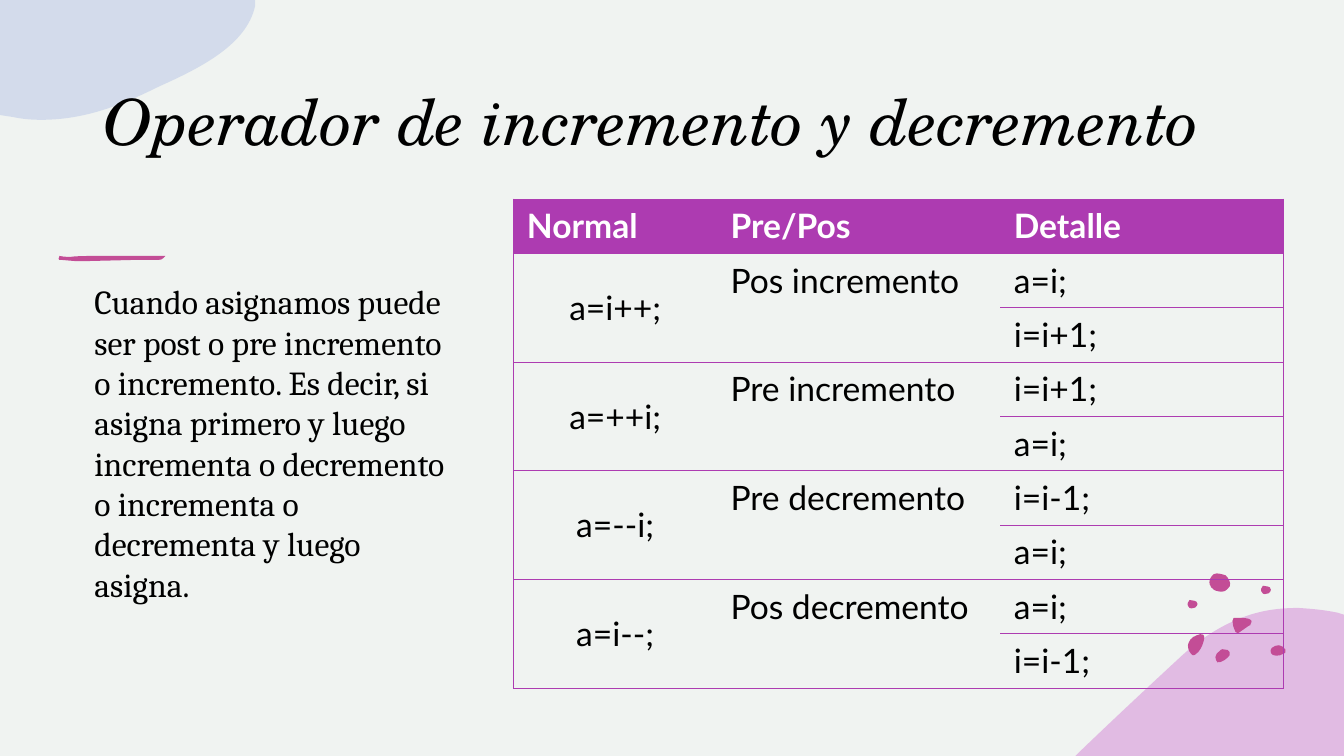
from lxml import etree
from pptx import Presentation
from pptx.dml.color import RGBColor
from pptx.enum.text import MSO_ANCHOR, PP_ALIGN
from pptx.oxml.ns import qn
from pptx.util import Cm, Pt

MIDDLE, BOTTOM, TOP = MSO_ANCHOR.MIDDLE, MSO_ANCHOR.BOTTOM, MSO_ANCHOR.TOP
LEFT, CENTER = PP_ALIGN.LEFT, PP_ALIGN.CENTER

PAPER = RGBColor(0xF0, 0xF3, 0xF1)
BLACK = RGBColor(0, 0, 0)
WHITE = RGBColor(255, 255, 255)
PURPLE = RGBColor(0xAD, 0x3B, 0xB1)
LILAC = RGBColor(0xD3, 0x84, 0xD6)
BLUE = RGBColor(0xB8, 0xC5, 0xE7)
PINK = RGBColor(0xC3, 0x4D, 0x96)

# Content
TITLE = "Operador de incremento y decremento"
EXPLANATION = (
    "Cuando asignamos puede ser post o pre incremento o incremento. "
    "Es decir, si asigna primero y luego incrementa o decremento "
    "o incrementa o decrementa y luego asigna."
)
HEADINGS = ("Normal", "Pre/Pos", "Detalle")
OPERATORS = [
    ("a=i++;", "Pos incremento", ("a=i;", "i=i+1;")),
    ("a=++i;", "Pre incremento", ("i=i+1;", "a=i;")),
    ("a=--i;", "Pre decremento", ("i=i-1;", "a=i;")),
    ("a=i--;", "Pos decremento", ("a=i;", "i=i-1;")),
]

# Outlines in cm: each step is (x, y) for a line or six numbers for a curve
BLUE_BLOB = [
    (0, 0), (6.43, 0), (6.43, 0.15), (6.22, 1.12, 5.08, 1.7, 4.01, 2.18),
    (3.12, 2.62, 2.18, 3.02, 1.04, 3.02), (0.79, 3.02, 0.56, 3, 0.33, 2.95), (0, 2.9),
]
LILAC_BLOB = [
    (32.72, 15.32), (33.05, 15.34, 33.38, 15.37, 33.71, 15.44), (33.87, 15.49),
    (33.87, 19.05), (27.1, 19.05), (27.13, 19.02),
    (27.99, 18.19, 28.87, 17.37, 29.69, 16.61),
    (30.25, 16.08, 30.84, 15.72, 31.42, 15.52), (31.85, 15.37, 32.28, 15.32, 32.72, 15.32),
]
BRUSH_STROKE = [
    (1.5, 6.45), (1.63, 6.48, 1.78, 6.48, 1.9, 6.46), (2.24, 6.45), (4.17, 6.45),
    (4.09, 6.48, 4.14, 6.55, 3.99, 6.55), (3.4, 6.55), (2.18, 6.58), (1.9, 6.58),
    (1.55, 6.55), (1.45, 6.58, 1.47, 6.48, 1.5, 6.45),
]
SMALL_DOT = [
    (31.78, 14.88), (31.78, 14.88, 31.78, 14.78, 31.83, 14.76),
    (31.88, 14.76, 31.9, 14.76, 31.95, 14.78), (31.98, 14.78, 32.03, 14.81, 32.03, 14.86),
    (32.03, 14.88, 32, 14.94, 31.98, 14.94), (31.98, 14.94, 31.98, 14.96, 31.93, 14.96),
    (31.9, 14.96, 31.85, 14.99, 31.83, 14.96), (31.8, 14.91, 31.78, 14.91, 31.78, 14.88),
]
SMALL_DOT_SHIFT = (-1.85, 0.36)
DOTS = [
    [(30.81, 16.36), (30.86, 16.36, 30.89, 16.36, 30.94, 16.38),
     (30.99, 16.41, 31.01, 16.46, 30.99, 16.51), (30.94, 16.59, 30.78, 16.71, 30.68, 16.69),
     (30.66, 16.66, 30.63, 16.61, 30.63, 16.56), (30.63, 16.51, 30.68, 16.43, 30.73, 16.41),
     (30.76, 16.38, 30.78, 16.36, 30.81, 16.36)],
    [(30.25, 15.98), (30.3, 15.98, 30.35, 15.98, 30.35, 16.08),
     (30.33, 16.21, 30.28, 16.33, 30.2, 16.43), (30.15, 16.48, 30.07, 16.56, 30.02, 16.48),
     (29.95, 16.41, 29.92, 16.28, 29.95, 16.21), (29.97, 16.13, 30.02, 16.1, 30.07, 16.05),
     (30.1, 16.05, 30.18, 15.98, 30.25, 15.98)],
    [(32.23, 16.26), (32.28, 16.26, 32.36, 16.31, 32.39, 16.36),
     (32.41, 16.41, 32.41, 16.46, 32.33, 16.48), (32.26, 16.54, 32.05, 16.54, 32.03, 16.46),
     (32, 16.41, 32.03, 16.36, 32.05, 16.33), (32.11, 16.28, 32.16, 16.26, 32.23, 16.26)],
    [(30.51, 14.76), (30.48, 14.76, 30.45, 14.61, 30.53, 14.53),
     (30.58, 14.48, 30.58, 14.45, 30.66, 14.45), (30.73, 14.45, 30.84, 14.48, 30.89, 14.5),
     (30.94, 14.55, 31.04, 14.68, 30.99, 14.78), (30.91, 14.86, 30.89, 14.91, 30.78, 14.91),
     (30.71, 14.91, 30.58, 14.88, 30.56, 14.83), (30.51, 14.81, 30.51, 14.78, 30.51, 14.76)],
    [(31.19, 15.57), (31.34, 15.57, 31.62, 15.57, 31.52, 15.72),
     (31.52, 15.75, 31.5, 15.77, 31.47, 15.77), (31.39, 15.82, 31.32, 15.88, 31.24, 15.93),
     (31.22, 15.95, 31.19, 15.98, 31.14, 15.93), (31.09, 15.82, 31.06, 15.75, 31.06, 15.65),
     (31.06, 15.62, 31.06, 15.6, 31.09, 15.57)],
    SMALL_DOT,
]

# Layout
COLUMN_WIDTHS = (5.13, 7.14, 7.14)
ROW_HEIGHT = 1.37
INSET_X, INSET_Y = Cm(0.34), Cm(0.17)
NO_STYLE = "{2D5ABB26-0587-4C30-8999-92F81FD0307C}"


def add_outline(slide, steps, color, alpha=None, shift=(0, 0)):
    dx, dy = shift
    corners = [(Cm(step[-2] + dx), Cm(step[-1] + dy)) for step in steps]
    builder = slide.shapes.build_freeform(*corners[0])
    builder.add_line_segments(corners[1:], close=True)
    blob = builder.convert_to_shape()

    # Turn the segments that have control points into curves
    segments = list(blob._element.iter(qn("a:lnTo")))
    for segment, step in zip(segments, steps[1:]):
        if len(step) == 6:
            segment.tag = qn("a:cubicBezTo")
            for i in (0, 1):
                control = etree.Element(qn("a:pt"))
                control.set("x", str(Cm(step[2 * i] + dx) - blob.left))
                control.set("y", str(Cm(step[2 * i + 1] + dy) - blob.top))
                segment.insert(i, control)

    blob.shadow.inherit = False
    blob.line.fill.background()
    blob.fill.solid()
    blob.fill.fore_color.rgb = color
    if alpha:
        rgb = blob.fill._xPr.find(".//" + qn("a:srgbClr"))
        etree.SubElement(rgb, qn("a:alpha")).set("val", str(alpha * 1000))


def format_text(frame, font_name, size, color, bold=False, italic=False):
    frame.word_wrap = True
    for run in frame.paragraphs[0].runs:
        font = run.font
        font.name, font.size, font.bold, font.italic = font_name, Pt(size), bold, italic
        font.color.rgb = color


def add_text(slide, text, box, anchor, *style, **options):
    frame = slide.shapes.add_textbox(*map(Cm, box)).text_frame
    frame.text = text
    frame.vertical_anchor = anchor
    frame.margin_left = frame.margin_right = INSET_X
    frame.margin_top = frame.margin_bottom = INSET_Y
    format_text(frame, *style, **options)


def set_borders(cell, sides):
    properties = cell._tc.get_or_add_tcPr()
    for position, side in enumerate("LRTB"):
        line = etree.Element(qn("a:ln" + side), w=str(Pt(0.5)))
        if side in sides:
            fill = etree.SubElement(line, qn("a:solidFill"))
            etree.SubElement(fill, qn("a:srgbClr")).set("val", str(PURPLE))
        else:
            etree.SubElement(line, qn("a:noFill"))
        properties.insert(position, line)


def fill_cell(cell, text, header=False, align=LEFT, anchor=TOP):
    cell.text = text
    cell.vertical_anchor = anchor
    cell.margin_left = cell.margin_right = INSET_X
    cell.margin_top = cell.margin_bottom = INSET_Y
    cell.text_frame.paragraphs[0].alignment = align
    format_text(cell.text_frame, "Lato", 24, WHITE if header else BLACK, bold=header)


def add_operator_table(slide):
    row_count = 1 + 2 * len(OPERATORS)
    frame = slide.shapes.add_table(
        row_count, len(HEADINGS), Cm(12.94), Cm(5.01),
        Cm(sum(COLUMN_WIDTHS)), Cm(ROW_HEIGHT * row_count))
    table = frame.table
    table.first_row = table.horz_banding = False
    table._tbl.tblPr.find(qn("a:tableStyleId")).text = NO_STYLE
    for column, width in zip(table.columns, COLUMN_WIDTHS):
        column.width = Cm(width)
    for row in table.rows:
        row.height = Cm(ROW_HEIGHT)

    for column, heading in enumerate(HEADINGS):
        fill_cell(table.cell(0, column), heading, header=True)
    for index, (expression, kind, details) in enumerate(OPERATORS):
        first = 1 + 2 * index
        for column in (0, 1):
            table.cell(first, column).merge(table.cell(first + 1, column))
        fill_cell(table.cell(first, 0), expression, align=CENTER, anchor=MIDDLE)
        fill_cell(table.cell(first, 1), kind)
        for offset, detail in enumerate(details):
            fill_cell(table.cell(first + offset, 2), detail)

    # Header fill, row rules and outer frame
    for r in range(row_count):
        for c in range(len(HEADINGS)):
            cell = table.cell(r, c)
            if r == 0:
                cell.fill.solid()
                cell.fill.fore_color.rgb = PURPLE
            else:
                cell.fill.background()
            sides = ("L", "", "R")[c]
            if c == 2 or r == 0 or r % 2:
                sides += "T"
            if c == 2 or r % 2 == 0 or cell.is_merge_origin:
                sides += "B"
            set_borders(cell, sides)


def main():
    prs = Presentation()
    prs.slide_width, prs.slide_height = Cm(33.87), Cm(19.05)
    slide = prs.slides.add_slide(prs.slide_layouts[6])
    slide.background.fill.solid()
    slide.background.fill.fore_color.rgb = PAPER

    # Decoration
    add_outline(slide, LILAC_BLOB, LILAC, alpha=50)
    for dot in DOTS:
        add_outline(slide, dot, PINK)
    add_outline(slide, SMALL_DOT, PINK, shift=SMALL_DOT_SHIFT)
    add_outline(slide, BLUE_BLOB, BLUE, alpha=50)
    add_outline(slide, BRUSH_STROKE, PINK)

    # Text and table
    add_text(slide, TITLE, (2.27, 0.43, 30.2, 3.73), BOTTOM,
             "TeX Gyre Schola", 45.4, BLACK, italic=True)
    add_text(slide, EXPLANATION, (2.04, 6.92, 9.73, 8.56), TOP, "Cambria", 24, BLACK)
    add_operator_table(slide)
    prs.save("out.pptx")


if __name__ == "__main__":
    main()
